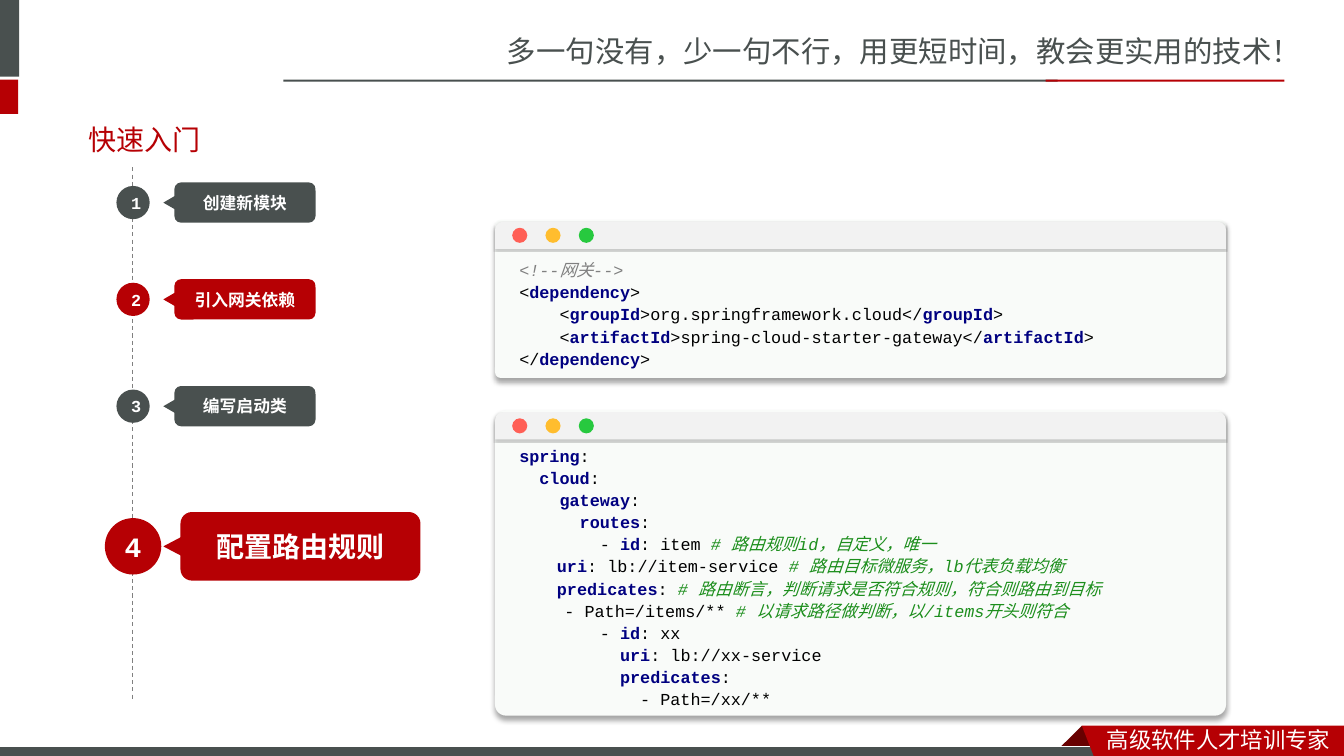
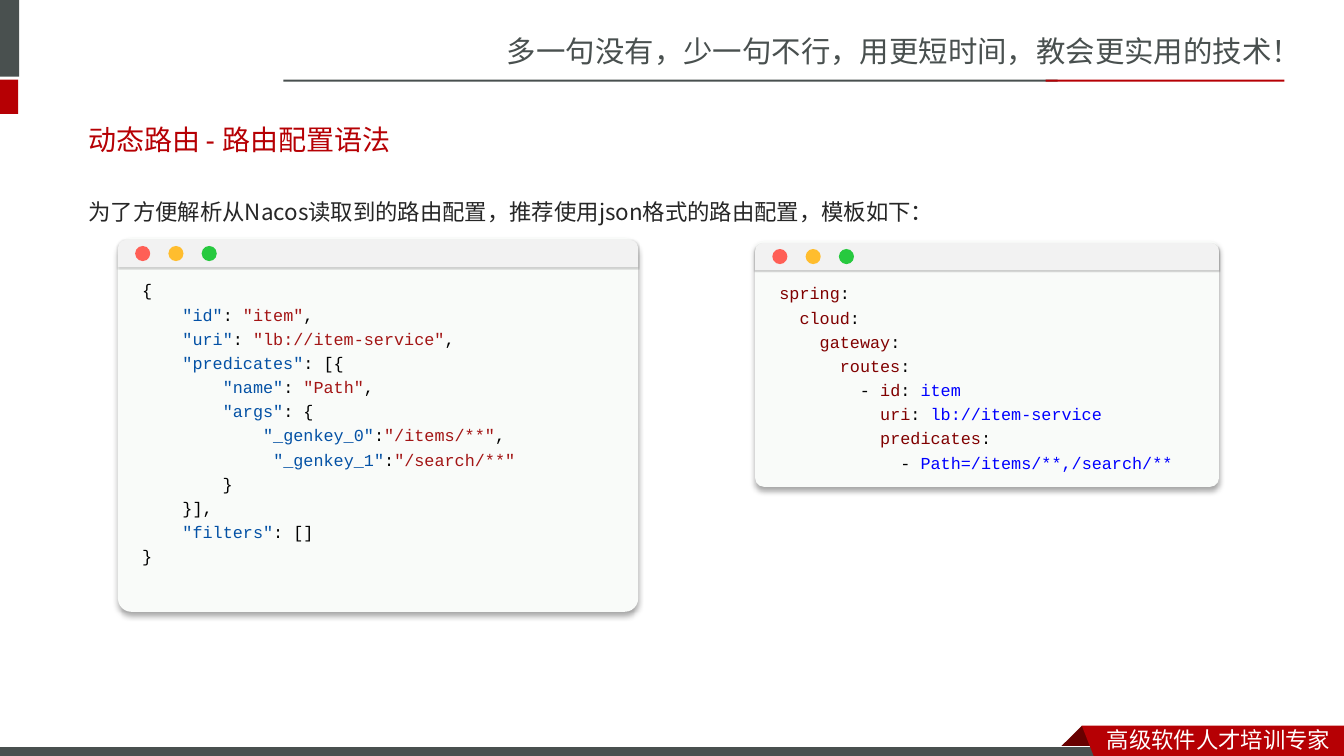
from copy import deepcopy
from dataclasses import dataclass

from pptx import Presentation
from pptx.dml.color import RGBColor as RGB
from pptx.enum.dml import MSO_LINE_DASH_STYLE as Dash
from pptx.enum.shapes import MSO_CONNECTOR as Connector
from pptx.enum.shapes import MSO_SHAPE as Shape
from pptx.enum.text import MSO_ANCHOR as Anchor
from pptx.enum.text import PP_ALIGN as Align
from pptx.oxml.xmlchemy import OxmlElement
from pptx.util import Inches, Pt


@dataclass(frozen=True)
class Theme:
    slate: str = "49504F"
    red: str = "B60004"
    dark_red: str = "680000"
    white: str = "FFFFFF"
    body: str = "262626"
    timeline: str = "808080"
    window: str = "F9FBF9"
    window_bar: str = "F2F2F2"
    buttons: tuple = ("FF5F56", "FFBD2E", "27C93F")
    sans: str = "Arial"
    mono: str = "Courier New"
    cjk: str = "Noto Sans CJK SC"
    body_font: str = "Noto Sans CJK JP"
    slogan_size: float = 21
    title_size: float = 20
    body_size: float = 16
    small_size: float = 12


THEME = Theme()

# Code style: colour, bold, italic
SYNTAX = {
    "plain": ("000000", False, False),
    "tag": ("000080", True, False),
    "remark": ("808080", False, True),
    "note": ("1C8E1C", False, True),
    "name": ("0451A5", False, False),
    "string": ("A31515", False, False),
    "key": ("800000", False, False),
    "value": ("0000FF", False, False),
}

# Styled parts of a code line stand between bars as |style:text|.
DEPENDENCY = """\
|remark:<!--网关-->|
<|tag:dependency|>
    <|tag:groupId|>org.springframework.cloud</|tag:groupId|>
    <|tag:artifactId|>spring-cloud-starter-gateway</|tag:artifactId|>
</|tag:dependency|>"""

FIRST_ROUTE = """\
|tag:spring|:
  |tag:cloud|:
    |tag:gateway|:
      |tag:routes|:
        - |tag:id|: item |note:# 路由规则id，自定义，唯一|
          |tag:uri|: lb://item-service |note:# 路由目标微服务，lb代表负载均衡|
          |tag:predicates|: |note:# 路由断言，判断请求是否符合规则，符合则路由到目标|
            - Path=/items/** |note:# 以请求路径做判断，以/items开头则符合|"""

SECOND_ROUTE = """\
        - |tag:id|: xx
          |tag:uri|: lb://xx-service
          |tag:predicates|:
            - Path=/xx/**"""

JSON_ROUTE = """\
{
    |name:"id"|: |string:"item"|,
    |name:"uri"|: |string:"lb://item-service"|,
    |name:"predicates"|: [{
        |name:"name"|: |string:"Path"|,
        |name:"args"|: {
            |name:"_genkey_0"|:|string:"/items/**"|,
             |name:"_genkey_1"|:|string:"/search/**"|
        }
    }],
    |name:"filters"|: []
}"""

YAML_ROUTE = """\
|key:spring|:
  |key:cloud|:
    |key:gateway|:
      |key:routes|:
        - |key:id|: |value:item|
          |key:uri|: |value:lb://item-service|
          |key:predicates|:
            - |value:Path=/items/**,/search/**|"""


class Deck:
    def __init__(self, theme):
        self.theme = theme
        self.prs = Presentation()
        self.prs.slide_width = Inches(13.33)
        self.prs.slide_height = Inches(7.5)
        self.slide = None

    def paint(self, shape, fill, line=None):
        shape.shadow.inherit = False
        shape.fill.solid()
        shape.fill.fore_color.rgb = RGB.from_string(fill)
        if line:
            shape.line.color.rgb = RGB.from_string(line)
            shape.line.width = Pt(0.75)
        else:
            shape.line.fill.background()
        return shape

    def shape(self, kind, left, top, width, height, fill, line=None):
        box = map(Inches, (left, top, width, height))
        return self.paint(self.slide.shapes.add_shape(kind, *box), fill, line)

    def polygon(self, points, fill):
        start, *rest = [(Inches(x), Inches(y)) for x, y in points]
        builder = self.slide.shapes.build_freeform(*start)
        builder.add_line_segments(rest)
        return self.paint(builder.convert_to_shape(), fill)

    def drop_shadow(self, shape, opacity, blur, distance):
        """Cast a black shadow straight down; opacity in percent."""
        shadow = OxmlElement("a:outerShdw")
        for key, value in (("blurRad", Pt(blur)), ("dist", Pt(distance)),
                           ("dir", 90 * 60000), ("rotWithShape", 0)):
            shadow.set(key, str(int(value)))
        color = OxmlElement("a:srgbClr")
        color.set("val", "000000")
        alpha = OxmlElement("a:alpha")
        alpha.set("val", str(opacity * 1000))
        color.append(alpha)
        shadow.append(color)
        shape._element.spPr.find(
            "{http://schemas.openxmlformats.org/drawingml/2006/main}effectLst"
        ).append(shadow)

    def run(self, paragraph, text, size, color, font, bold=False, italic=False):
        run = paragraph.add_run()
        run.text = text
        run.font.size = Pt(size)
        run.font.bold = bold
        run.font.italic = italic
        run.font.color.rgb = RGB.from_string(color)
        run.font.name = font
        east_asian = OxmlElement("a:ea")
        east_asian.set("typeface", self.theme.cjk)
        run._r.get_or_add_rPr().append(east_asian)
        return run

    def frame(self, left, top, width, height, anchor=Anchor.TOP, wrap=True):
        box = map(Inches, (left, top, width, height))
        frame = self.slide.shapes.add_textbox(*box).text_frame
        frame.word_wrap = wrap
        frame.vertical_anchor = anchor
        return frame

    def label(self, shape, text, size, font):
        frame = shape.text_frame
        frame.vertical_anchor = Anchor.MIDDLE
        frame.paragraphs[0].alignment = Align.CENTER
        self.run(frame.paragraphs[0], text, size, self.theme.white, font, bold=True)

    def new_slide(self):
        """Add a blank slide with the shared bands, slogan and ribbon."""
        t = self.theme
        self.slide = self.prs.slides.add_slide(self.prs.slide_layouts[6])
        slogan = self.frame(4.93, 0.28, 8.41, 0.47, wrap=False)
        self.run(slogan.paragraphs[0], "多一句没有，少一句不行，用更短时间，教会更实用的技术！",
                 t.slogan_size, t.slate, t.cjk)
        self.shape(Shape.RECTANGLE, 0, 0, 0.19, 0.76, t.slate)
        self.shape(Shape.RECTANGLE, 0, 0.79, 0.18, 0.34, t.red)
        self.shape(Shape.RECTANGLE, 2.81, 0.79, 7.68, 0.02, t.slate)
        self.shape(Shape.RECTANGLE, 10.37, 0.79, 2.37, 0.02, t.red)
        self.polygon([(10.73, 7.2), (10.95, 7.42), (10.94, 7.43),
                      (10.52, 7.43), (10.51, 7.42)], t.dark_red)
        self.shape(Shape.RECTANGLE, -0.01, 7.41, 11, 0.12, t.slate, t.white)
        self.polygon([(10.73, 7.2), (13.33, 7.2), (13.33, 7.54), (10.86, 7.53)], t.red)
        ribbon = self.frame(10.88, 7.15, 2.45, 0.37, wrap=False)
        self.run(ribbon.paragraphs[0], "高级软件人才培训专家", t.body_size, t.white, t.cjk)

    def title(self, text, left=0.78, width=11.7):
        frame = self.frame(left, 1.1, width, 0.57, Anchor.MIDDLE)
        self.run(frame.paragraphs[0], text, self.theme.title_size,
                 self.theme.red, self.theme.sans)

    def body(self, text):
        t = self.theme
        paragraph = self.frame(0.78, 1.78, 11.7, 0.6).paragraphs[0]
        paragraph.line_spacing = 1.5
        self.run(paragraph, text, t.body_size, t.body, t.body_font)

    def code_line(self, paragraph, line):
        t = self.theme
        for index, part in enumerate(line.split("|")):
            style, text = part.split(":", 1) if index % 2 else ("plain", part)
            if text:
                color, bold, italic = SYNTAX[style]
                self.run(paragraph, text, t.small_size, color, t.mono, bold, italic)

    def code(self, frame, blocks, spacing):
        """Write each block as one paragraph, its lines parted by breaks."""
        for index, block in enumerate(blocks):
            paragraph = frame.add_paragraph() if index else frame.paragraphs[0]
            paragraph.line_spacing = spacing
            for number, line in enumerate(block.split("\n")):
                if number:
                    last_style = paragraph.runs[-1]._r.rPr
                    paragraph._p.add_br().append(deepcopy(last_style))
                self.code_line(paragraph, line)

    def code_window(self, left, top, width, height, blocks, spacing, code_offset=0.33):
        t = self.theme
        pane = self.shape(Shape.ROUNDED_RECTANGLE, left, top, width, height, t.window)
        pane.adjustments[0] = 0.036
        self.drop_shadow(pane, 34, 4, 3)
        frame = self.frame(left, top + code_offset, width, height - code_offset)
        frame.margin_left = frame.margin_right = Inches(0.24)
        self.code(frame, blocks, spacing)
        bar = self.shape(Shape.ROUND_2_SAME_RECTANGLE, left, top + 0.02, width, 0.27,
                         t.window_bar)
        bar.adjustments[0] = 0.3
        self.drop_shadow(bar, 20, 1, 1)
        for index, color in enumerate(t.buttons):
            self.shape(Shape.OVAL, left + 0.17 + 0.33 * index, top + 0.08,
                       0.15, 0.15, color)

    def timeline(self, x, top, bottom):
        ends = map(Inches, (x, top, x, bottom))
        line = self.slide.shapes.add_connector(Connector.STRAIGHT, *ends)
        line.line.color.rgb = RGB.from_string(self.theme.timeline)
        line.line.width = Pt(0.75)
        line.line.dash_style = Dash.DASH
        line._element.spPr.append(OxmlElement("a:effectLst"))

    def step(self, number, text, middle, color, current=False):
        """Draw a numbered dot and its callout; the current step is larger."""
        t = self.theme
        if current:
            size, dot, left, width, height, base, depth = (
                t.title_size, 0.56, 1.79, 2.38, 0.68, 0.21, 0.2)
        else:
            size, dot, left, width, height, base, depth = (
                t.small_size, 0.33, 1.73, 1.4, 0.4, 0.15, 0.13)
        callout = self.shape(Shape.ROUNDED_RECTANGLE, left, middle - height / 2,
                             width, height, color)
        self.label(callout, text, size, t.sans)
        pointer = self.shape(Shape.ISOSCELES_TRIANGLE, 1.62 + (depth - base) / 2,
                             middle - depth / 2, base, depth, color)
        pointer.rotation = 270
        badge = self.shape(Shape.OVAL, 1.32 - dot / 2, middle - dot / 2, dot, dot, color)
        self.label(badge, str(number), size, t.mono)


def quick_start(deck):
    t = deck.theme
    deck.new_slide()
    deck.title("快速入门")
    deck.code_window(4.91, 2.18, 7.25, 1.57, [DEPENDENCY], 1.1)
    deck.code_window(4.91, 4.07, 7.25, 3.03, [FIRST_ROUTE, SECOND_ROUTE], 1.1, 0.28)
    deck.timeline(1.31, 1.66, 6.96)
    deck.step(1, "创建新模块", 2.01, t.slate)
    deck.step(2, "引入网关依赖", 2.97, t.red)
    deck.step(3, "编写启动类", 4.03, t.slate)
    deck.step(4, "配置路由规则", 5.42, t.red, current=True)


def route_syntax(deck):
    deck.new_slide()
    deck.title("动态路由", width=1.4)
    deck.title("- 路由配置语法", left=1.94, width=3.08)
    deck.body("为了方便解析从Nacos读取到的路由配置，推荐使用json格式的路由配置，模板如下：")
    deck.code_window(1.17, 2.36, 5.16, 3.71, JSON_ROUTE.split("\n"), 1.2)
    deck.code_window(7.49, 2.39, 4.6, 2.44, YAML_ROUTE.split("\n"), 1.2)


def main():
    deck = Deck(THEME)
    quick_start(deck)
    route_syntax(deck)
    deck.prs.save("out.pptx")


if __name__ == "__main__":
    main()
